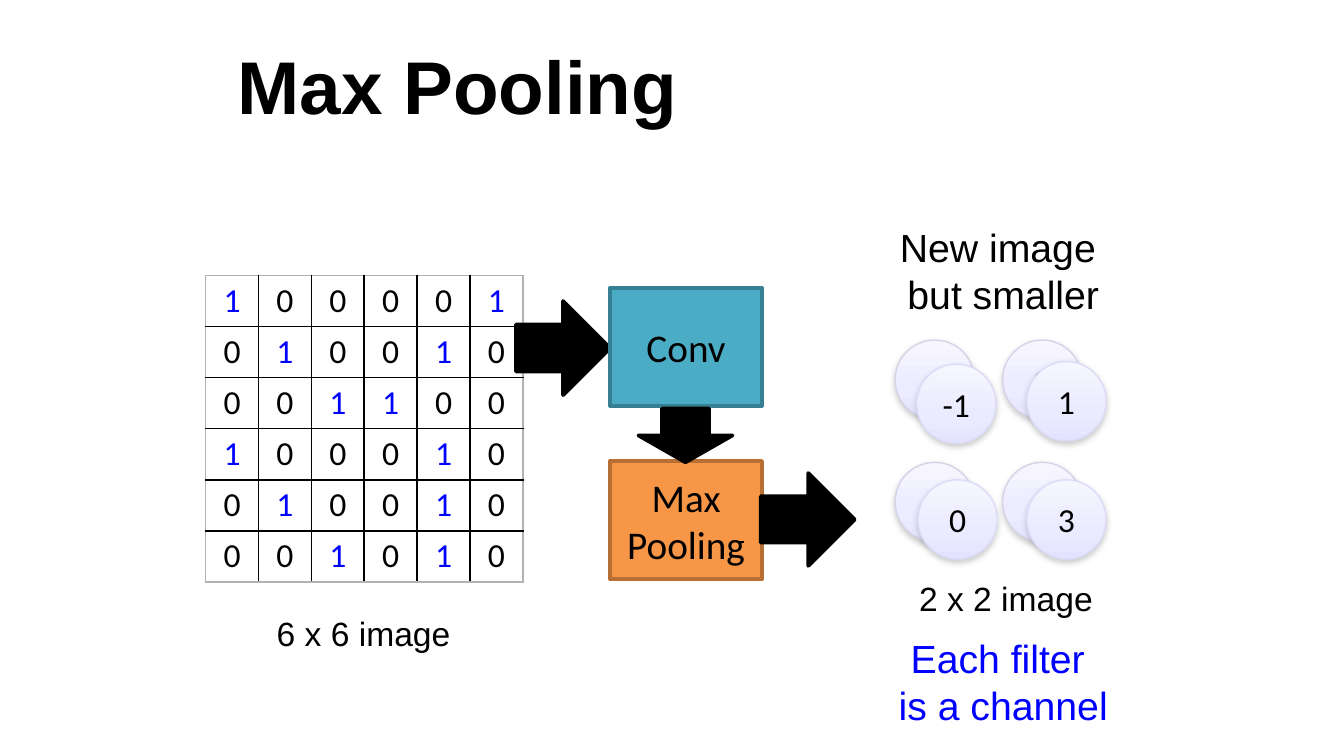
from lxml.etree import SubElement
from pptx import Presentation
from pptx.dml.color import RGBColor
from pptx.enum.shapes import MSO_SHAPE
from pptx.enum.text import MSO_ANCHOR, PP_ALIGN
from pptx.oxml.ns import qn
from pptx.util import Inches, Pt


class Theme:
    black, blue, grey = "000000", "0000FF", "B2B2B2"
    teal, orange = ("4BACC6", "377F92"), ("F79646", "B76F34")
    back = ("F7F6FF", "ECEBFF", "E5E3FF"), "D4D3E7"
    front = ("F6F6FF", "EBEBFF", "E3E3FF"), "DCDCFA"
    head, body, note = 40, 21, 18
    sans, math = "Arial", "Calibri"


GRID = ["100001", "010010", "001100", "100010", "010010", "001010"]


def rgb(code):
    return RGBColor.from_string(code)


def node(parent, tag, **attrs):
    return SubElement(parent, qn(tag), {k: str(v) for k, v in attrs.items()})


def write(frame, text, size, font=Theme.sans, color=Theme.black,
          align=PP_ALIGN.CENTER, bold=False):
    frame.word_wrap = True
    look = {"size": Pt(size), "name": font, "bold": bold}
    for i, line in enumerate(text.split("\n")):
        para = frame.paragraphs[0] if i == 0 else frame.add_paragraph()
        para.alignment = align
        run = para.add_run()
        run.text = line
        for key, value in look.items():
            setattr(run.font, key, value)
        run.font.color.rgb = rgb(color)


def label(slide, box, text, size, **look):
    frame = slide.shapes.add_textbox(*map(Inches, box)).text_frame
    write(frame, text, size, **look)
    return frame


def shape(slide, kind, box, fill, line, width=2):
    item = slide.shapes.add_shape(kind, *map(Inches, box))
    item.shadow.inherit = False
    item.fill.solid()
    item.fill.fore_color.rgb = rgb(fill)
    item.line.color.rgb = rgb(line)
    item.line.width = Pt(width)
    return item


def title(slide, box):
    frame = label(slide, box, "Max Pooling", Theme.head,
                  align=PP_ALIGN.LEFT, bold=True)
    for side in ("left", "top", "right", "bottom"):
        setattr(frame, f"margin_{side}", 0)


def edge(cell, side, color):
    line = node(cell._tc.get_or_add_tcPr(), f"a:{side}", w=Pt(1))
    node(node(line, "a:solidFill"), "a:srgbClr", val=color)


def matrix(slide, box):
    """Pixel grid with a light frame, and its caption below."""
    x, y, w, h = box
    count = len(GRID)
    table = slide.shapes.add_table(count, count, *map(Inches, box)).table
    table.first_row = table.horz_banding = False
    for part in table.columns:
        part.width = Inches(w / count)
    for part in table.rows:
        part.height = Inches(h / count)
    last = count - 1
    form = {"margin_left": Inches(0.08), "margin_right": Inches(0.08),
            "margin_top": Inches(0.03), "margin_bottom": Inches(0.03),
            "vertical_anchor": MSO_ANCHOR.MIDDLE}
    for r, digits in enumerate(GRID):
        for c, digit in enumerate(digits):
            cell = table.cell(r, c)
            for key, value in form.items():
                setattr(cell, key, value)
            write(cell.text_frame, digit, Theme.note, Theme.math,
                  Theme.blue if digit == "1" else Theme.black)
            outer = {"lnL": c == 0, "lnR": c == last,
                     "lnT": r == 0, "lnB": r == last}
            for side, rim in outer.items():
                edge(cell, side, Theme.grey if rim else Theme.black)
            cell.fill.background()
    label(slide, (x + 0.21, y + h + 0.18, 1.93, 0.4), "6 x 6 image", Theme.note)


def circle(slide, x, y, text, look):
    """Disc with a soft gradient and shadow."""
    shades, rim = look
    disc = shape(slide, MSO_SHAPE.OVAL, (x, y, 0.59, 0.59), rim, rim, 0.75)
    disc.fill.gradient()
    disc.fill.gradient_angle = 270
    props = disc._element.spPr
    stops = props.find(qn("a:gradFill")).find(qn("a:gsLst"))
    for stop in list(stops):
        stops.remove(stop)
    for pos, shade in zip((0, 65, 100), shades):
        node(node(stops, "a:gs", pos=pos * 1000), "a:srgbClr", val=shade)
    glow = node(props.find(qn("a:effectLst")), "a:outerShdw", blurRad=Pt(3.1),
                dist=Pt(1.6), dir=5400000, rotWithShape=0)
    node(node(glow, "a:srgbClr", val="808080"), "a:alpha", val=38000)
    if text:
        frame = disc.text_frame
        frame.margin_left = frame.margin_right = 0
        frame.vertical_anchor = MSO_ANCHOR.MIDDLE
        write(frame, text, Theme.note, Theme.math)


def output(slide, box):
    """Two layers of 2 x 2 discs between their captions."""
    x, y, w, h = box
    label(slide, (x, y, w, 0.81), "New image \nbut smaller", Theme.body)
    for dx, dy, text in ((0, 0, ""), (0.8, 0, "0"), (0.8, 0.91, ""), (0, 0.91, "")):
        circle(slide, x + 0.13 + dx, y + 0.92 + dy, text, Theme.back)
    for dx, dy, text in ((0, 0.02, "-1"), (0.82, 0, "1"),
                         (0.82, 0.88, "3"), (0.01, 0.88, "0")):
        circle(slide, x + 0.29 + dx, y + 1.08 + dy, text, Theme.front)
    label(slide, (x, y + 2.64, w + 0.04, 0.4), "2 x 2 image", Theme.note)
    label(slide, (x, y + h - 0.81, w, 0.81), "Each filter \nis a channel",
          Theme.body, color=Theme.blue)


def arrow(slide, box, turn=0):
    item = shape(slide, MSO_SHAPE.RIGHT_ARROW, box, Theme.black, Theme.black)
    item.rotation = turn


def stages(slide, box):
    """Conv above Max Pooling, with the arrows into, between and out."""
    x, y, w, h = box
    tall = 0.88
    arrow(slide, (x - 0.7, y + 0.1, 0.7, 0.7))
    for top, text, look in ((y, "Conv", Theme.teal),
                            (y + h - tall, "Max\nPooling", Theme.orange)):
        step = shape(slide, MSO_SHAPE.RECTANGLE, (x, top, w, tall), *look)
        step.text_frame.vertical_anchor = MSO_ANCHOR.MIDDLE
        write(step.text_frame, text, Theme.body, Theme.math)
    arrow(slide, (x + w - 0.01, y + h - 0.79, 0.7, 0.69))
    arrow(slide, (x + 0.36, y + 0.75, 0.4, 0.7), 90)


def main():
    deck = Presentation()
    deck.slide_width = Inches(10)
    deck.slide_height = deck.slide_width * 9 // 16
    slide = deck.slides.add_slide(deck.slide_layouts[6])
    title(slide, (1.77, 0.3, 6.47, 0.67))
    matrix(slide, (1.53, 2.05, 2.36, 2.28))
    output(slide, (6.53, 1.61, 1.87, 3.87))
    stages(slide, (4.54, 2.14, 1.13, 2.17))
    deck.save("out.pptx")


if __name__ == "__main__":
    main()
